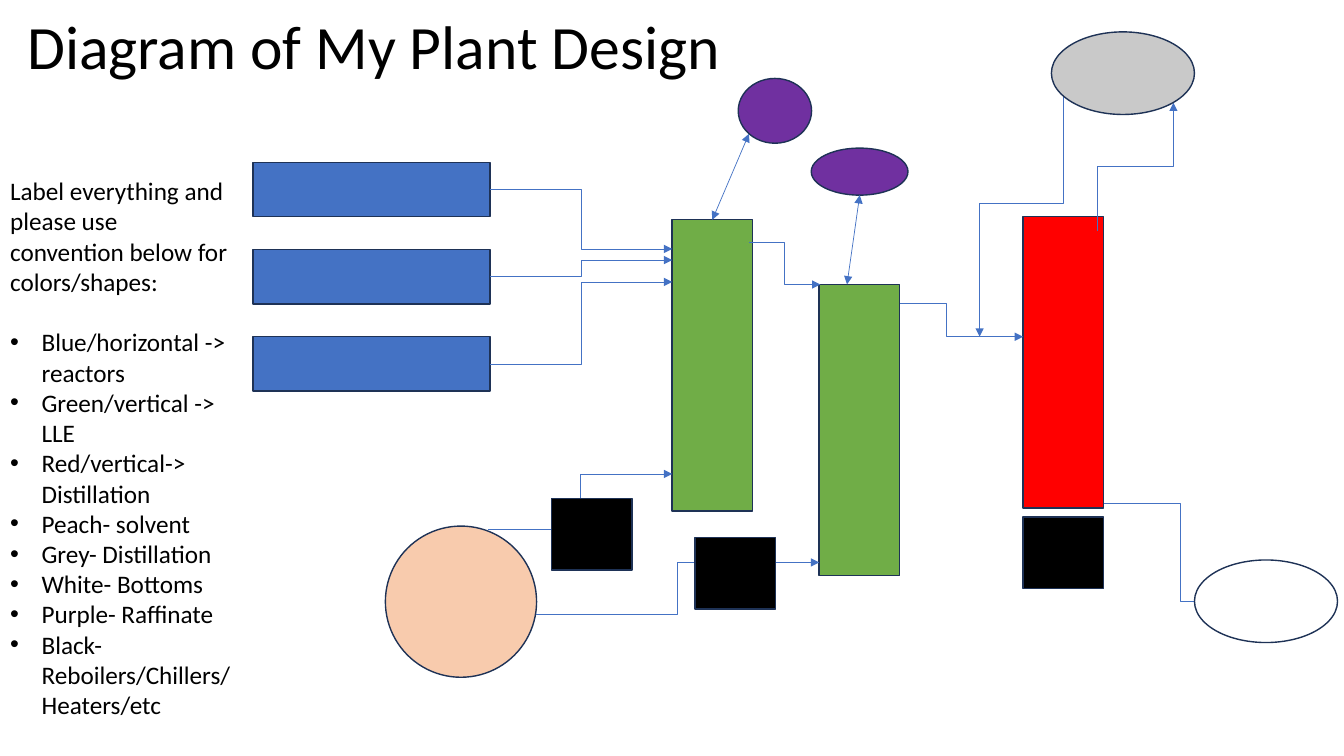
from pptx import Presentation
from pptx import util as u
from pptx.dml.color import RGBColor
from pptx.enum import shapes, text
from pptx.oxml.ns import qn
from lxml import etree

BLACK = RGBColor(0x00, 0x00, 0x00)
WHITE = RGBColor(0xFF, 0xFF, 0xFF)
BLUE = RGBColor(0x44, 0x72, 0xC4)
NAVY = RGBColor(0x1E, 0x32, 0x56)
GREEN = RGBColor(0x70, 0xAD, 0x47)
RED = RGBColor(0xFF, 0x00, 0x00)
PEACH = RGBColor(0xF8, 0xCB, 0xAD)
GREY = RGBColor(0xC9, 0xC9, 0xC9)
PURPLE = RGBColor(0x70, 0x30, 0xA0)

RECTANGLE = shapes.MSO_SHAPE.RECTANGLE
OVAL = shapes.MSO_SHAPE.OVAL
ELBOW = shapes.MSO_CONNECTOR.ELBOW
STRAIGHT = shapes.MSO_CONNECTOR.STRAIGHT
COLUMN = (57.6, 208)
EXCHANGER = (57.6, 51.1)
PRODUCT = (102.2, 59)

presentation = Presentation()
presentation.slide_width = u.Pt(960)
presentation.slide_height = u.Pt(540)
slide = presentation.slides.add_slide(presentation.slide_layouts[1])


def add_unit(kind, color, position, size):
    shape = slide.shapes.add_shape(kind, *map(u.Pt, position + size))
    shape.shadow.inherit = False
    shape.fill.solid()
    shape.fill.fore_color.rgb = color
    shape.line.color.rgb = NAVY
    shape.line.width = u.Pt(1)
    return shape


def add_flow(kind, start, end, upright=False, arrows=("tailEnd",)):
    """Draw a pipe; an upright elbow leaves and arrives vertically."""
    if upright:
        # Turn both ends back a quarter, since the box is then rotated by 90°.
        center_x, center_y = (start[0] + end[0]) / 2, (start[1] + end[1]) / 2
        start, end = [(center_x + y - center_y, center_y - x + center_x)
                      for x, y in (start, end)]
    flow = slide.shapes.add_connector(kind, *map(u.Pt, start + end))
    flow.line.color.rgb = BLUE
    flow.line.width = u.Pt(0.5)
    properties = flow._element.spPr
    if upright:
        properties.find(qn("a:xfrm")).set("rot", "5400000")
    for arrow in arrows:
        etree.SubElement(properties.find(qn("a:ln")), qn("a:" + arrow), type="triangle")
    etree.SubElement(properties, qn("a:effectLst"))
    return flow


# Title and colour convention
title, convention = slide.placeholders
title.text_frame.text = "Diagram of My Plant Design"
convention.text_frame.text = "\n".join([
    "Label everything and please use convention below for colors/shapes:",
    "Blue/horizontal -> reactors",
    "Green/vertical -> LLE",
    "Red/vertical-> Distillation",
    "Peach- solvent",
    "Grey- Distillation",
    "White- Bottoms",
    "Purple- Raffinate",
    "Black- Reboilers/Chillers/Heaters/etc",
])

for placeholder, box, font_size, line_spacing, anchor in [
    (title, (12.2, 6.5, 936, 58.3), 44, 0.9, text.MSO_ANCHOR.MIDDLE),
    (convention, (0, 121.7, 175.7, 399.6), 18, 1.0, text.MSO_ANCHOR.TOP),
]:
    for name, length in zip(("left", "top", "width", "height"), box):
        setattr(placeholder, name, u.Pt(length))
    frame_format = {"word_wrap": True, "auto_size": text.MSO_AUTO_SIZE.NONE,
                    "vertical_anchor": anchor}
    for name, value in frame_format.items():
        setattr(placeholder.text_frame, name, value)
    paragraph_format = {"alignment": text.PP_ALIGN.LEFT, "line_spacing": line_spacing,
                        "space_before": u.Pt(0), "space_after": u.Pt(0)}
    font_format = {"name": "Calibri", "size": u.Pt(font_size)}
    for paragraph in placeholder.text_frame.paragraphs:
        for name, value in paragraph_format.items():
            setattr(paragraph, name, value)
        for name, value in font_format.items():
            setattr(paragraph.runs[0].font, name, value)
        paragraph.runs[0].font.color.rgb = BLACK

introduction, *rules = convention.text_frame.paragraphs
rules[0].space_before = u.Pt(21.6)
for paragraph in [introduction] + rules:
    bulleted = paragraph is not introduction
    indent = u.Pt(22.5) if bulleted else 0
    properties = paragraph._p.get_or_add_pPr()
    properties.set("marL", str(indent))
    properties.set("indent", str(-indent))
    if bulleted:
        etree.SubElement(properties, qn("a:buFont"), typeface="Arial")
        etree.SubElement(properties, qn("a:buChar"), char="•")
    else:
        etree.SubElement(properties, qn("a:buNone"))

# Reactors and first columns
for row in range(3):
    add_unit(RECTANGLE, BLUE, (180.7, 116 + 62.2 * row), (169.2, 38.9))
first_extractor = add_unit(RECTANGLE, GREEN, (480, 157), COLUMN)
add_unit(RECTANGLE, RED, (730.8, 154.8), COLUMN)

# Flows that run behind the second extractor and the bottoms
for start, end, upright in [
    ((350, 135.4), (480.2, 177.8), False),
    ((350, 197.3), (480.2, 185.8), False),
    ((350, 260.6), (480.2, 201.4), False),
    ((620.6, 216.9), (730.8, 240.5), False),
    ((784, 164.9), (838.2, 73.4), True),
    ((788.4, 359.5), (897.8, 429.8), False),
]:
    add_flow(ELBOW, start, end, upright)

add_unit(OVAL, PEACH, (275.3, 375.8), (108, 108))
add_unit(OVAL, WHITE, (853.2, 400), PRODUCT)
add_unit(RECTANGLE, GREEN, (585, 203.2), COLUMN)

# Flows that run behind the heat exchangers and the distillate
for start, end, upright in [
    ((348.5, 378.4), (480.2, 338.6), False),
    ((383, 438.6), (585.2, 401.8), False),
    ((535.2, 173), (586, 203.2), False),
    ((759.6, 50.4), (699.7, 240.5), True),
]:
    add_flow(ELBOW, start, end, upright)

add_unit(OVAL, GREY, (751, 22.8), PRODUCT)
for position in [(730.8, 369.2), (393.9, 356), (496.4, 384)]:
    add_unit(RECTANGLE, BLACK, position, EXCHANGER)

# Raffinates
add_unit(OVAL, PURPLE, (527.3, 56), (52.4, 46.3))
add_unit(OVAL, PURPLE, (579.5, 105.8), (69.1, 33.6))
both_ends = ("headEnd", "tailEnd")
first_raffinate_flow = add_flow(STRAIGHT, (508.8, 157), (535, 95.6), arrows=both_ends)
first_raffinate_flow.begin_connect(first_extractor, 0)
add_flow(STRAIGHT, (605, 203.2), (614.1, 139.4), arrows=both_ends)

presentation.save("out.pptx")
